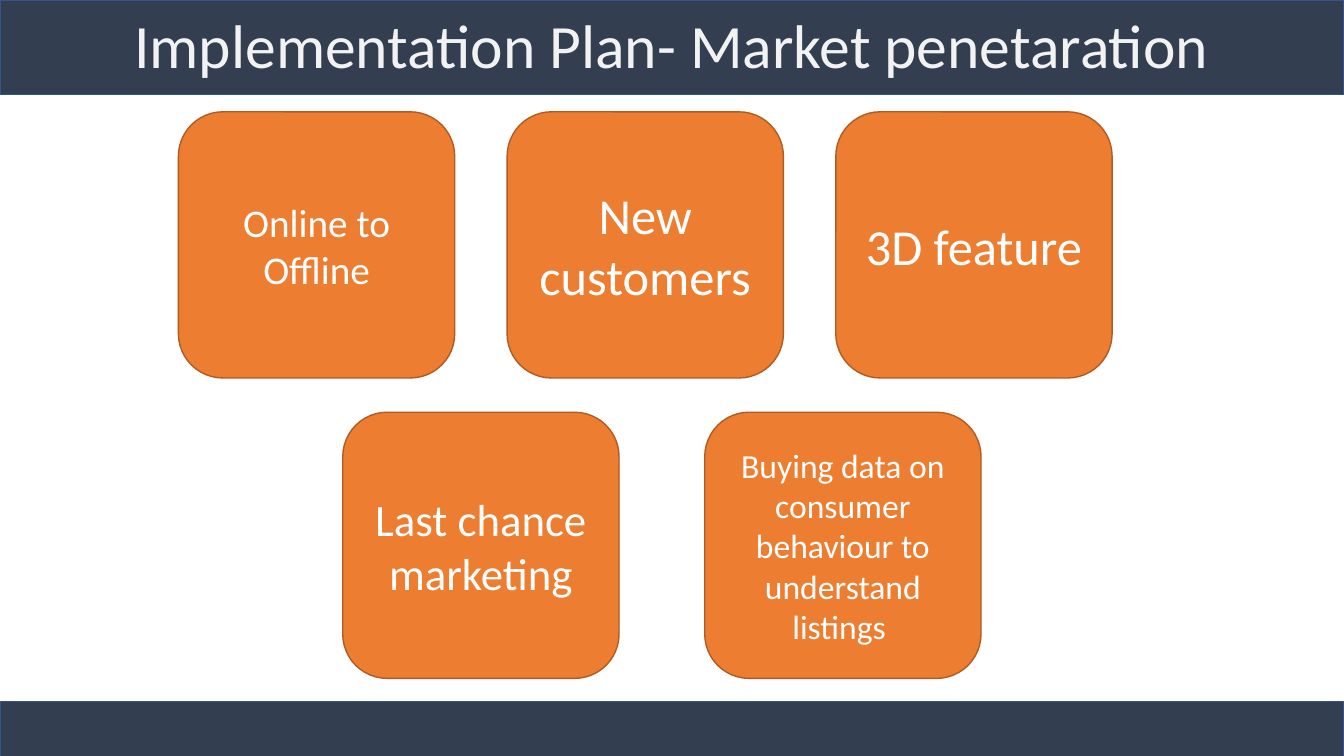
from pptx import Presentation
from pptx.dml.color import RGBColor
from pptx.enum.shapes import MSO_SHAPE
from pptx.enum.text import MSO_ANCHOR, PP_ALIGN
from pptx.util import Inches, Pt

RECTANGLE = MSO_SHAPE.RECTANGLE
ROUNDED = MSO_SHAPE.ROUNDED_RECTANGLE
MIDDLE = MSO_ANCHOR.MIDDLE
CENTER = PP_ALIGN.CENTER

COLORS = {
    "navy": "333F50",
    "navy_edge": "325491",
    "orange": "ED7D31",
    "orange_edge": "AF5C24",
    "heading": "F2F2F2",
    "white": "FFFFFF",
}
SLIDE_WIDTH, SLIDE_HEIGHT = 13.33, 7.5
CARD_WIDTH, CARD_HEIGHT = 2.74, 2.64

CARD_ROWS = [
    (1.77, 1.11, 3.26, [
        ("Online to Offline", 28),
        ("New customers", 36),
        ("3D feature", 36),
    ]),
    (3.4, 4.09, 3.59, [
        ("Last chance marketing", 32),
        ("Buying data on consumer behaviour to understand listings ", 24),
    ]),
]


class PlanSlide:
    font_name = "Calibri"

    def __init__(self, slide):
        self.slide = slide

    def color(self, name):
        return RGBColor.from_string(COLORS[name])

    def label(self, frame, text, size, color, spacing=1.0):
        for attribute, value in {"word_wrap": True, "vertical_anchor": MIDDLE}.items():
            setattr(frame, attribute, value)
        paragraph = frame.paragraphs[0]
        paragraph.text = text
        for attribute, value in {"alignment": CENTER, "line_spacing": spacing}.items():
            setattr(paragraph, attribute, value)
        font = paragraph.runs[0].font
        for attribute, value in {"name": self.font_name, "size": Pt(size)}.items():
            setattr(font, attribute, value)
        font.color.rgb = self.color(color)

    def block(self, kind, left, top, width, height, fill):
        block = self.slide.shapes.add_shape(
            kind, Inches(left), Inches(top), Inches(width), Inches(height))
        block.shadow.inherit = False
        block.fill.solid()
        block.fill.fore_color.rgb = self.color(fill)
        block.line.color.rgb = self.color(fill + "_edge")
        block.line.width = Pt(1)
        return block

    def bar(self, top, height):
        self.block(RECTANGLE, 0, top, SLIDE_WIDTH, height, "navy")

    def heading(self, text, top, height):
        heading = self.slide.shapes.add_textbox(
            0, Inches(top), Inches(SLIDE_WIDTH), Inches(height))
        self.label(heading.text_frame, text, 44, "heading", 0.9)

    def card(self, left, top, text, size):
        card = self.block(ROUNDED, left, top, CARD_WIDTH, CARD_HEIGHT, "orange")
        self.label(card.text_frame, text, size, "white")


def main():
    deck = Presentation()
    deck.slide_width = Inches(SLIDE_WIDTH)
    deck.slide_height = Inches(SLIDE_HEIGHT)
    plan = PlanSlide(deck.slides.add_slide(deck.slide_layouts[6]))

    plan.bar(6.96, 0.63)
    plan.bar(0, 0.94)
    plan.heading("Implementation Plan- Market penetaration", 0.02, 0.92)
    for left, top, pitch, cards in CARD_ROWS:
        for column, (text, size) in enumerate(cards):
            plan.card(left + column * pitch, top, text, size)

    deck.save("out.pptx")


if __name__ == "__main__":
    main()
